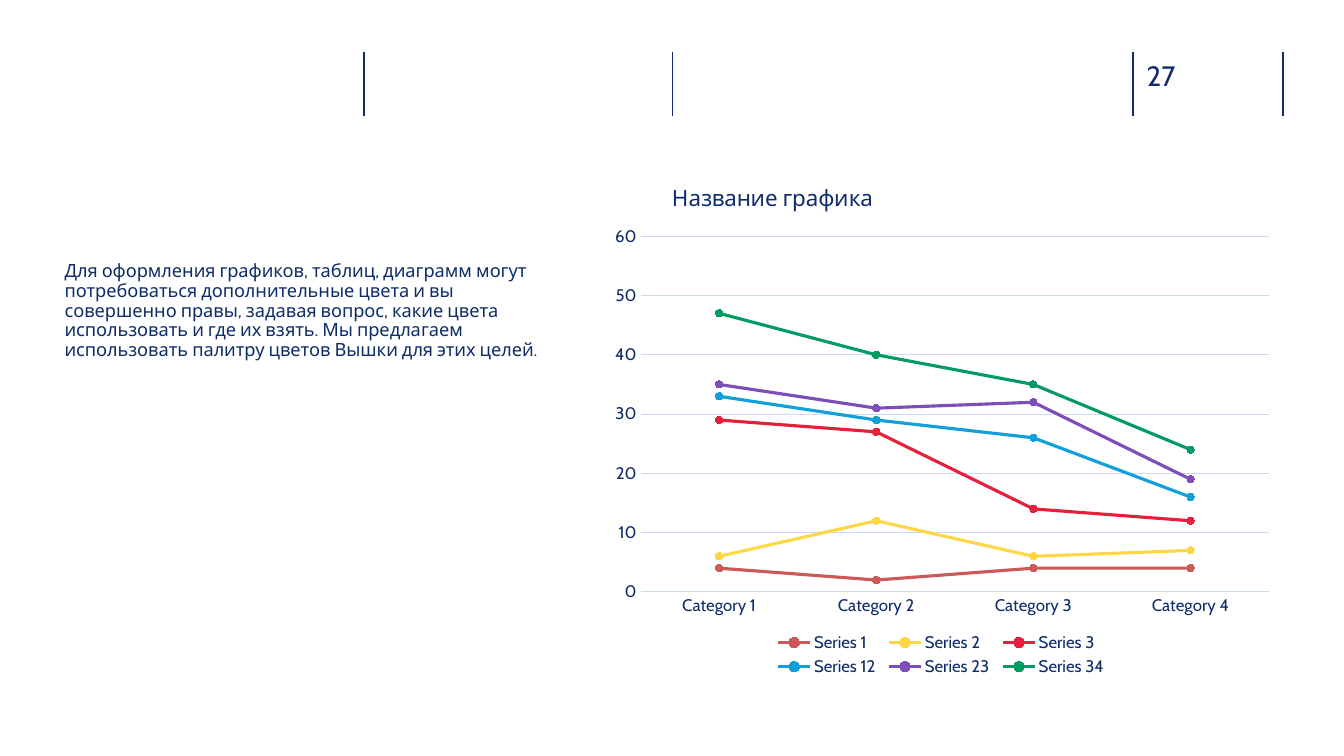
from lxml.etree import SubElement
from pptx import Presentation
from pptx.chart.data import CategoryChartData
from pptx.dml.color import RGBColor
from pptx.enum.chart import (XL_CHART_TYPE as CT, XL_LEGEND_POSITION as LP,
                             XL_MARKER_STYLE as MS, XL_TICK_MARK as TM)
from pptx.enum.shapes import MSO_CONNECTOR
from pptx.oxml.ns import qn
from pptx.util import Cm, Pt

# Content
FONT = "Cabin"
COLORS = {"rule": "102D69", "text": "0E2D69", "grid": "CCDAF8"}
PAGE_NUMBER = "27"
BODY = ("Для оформления графиков, таблиц, диаграмм могут потребоваться "
        "дополнительные цвета и вы совершенно правы, задавая вопрос, какие цвета "
        "использовать и где их взять. Мы предлагаем использовать палитру цветов "
        "Вышки для этих целей.")
CHART_TITLE = "Название графика"
CATEGORIES = ["Category 1", "Category 2", "Category 3", "Category 4"]
SERIES = [  # name, values, line colour, marker colour
    ("Series 1", (4, 2, 4, 4), "CD5A5A", "CD5A5A"),
    ("Series 2", (2, 10, 2, 3), "FFD746", "FFD746"),
    ("Series 3", (23, 15, 8, 5), "E61F3D", "E61F3D"),
    ("Series 12", (4, 2, 12, 4), "11A0D7", "11A0D7"),
    ("Series 23", (2, 2, 6, 3), "7D4EBA", "96628C"),
    ("Series 34", (12, 9, 3, 5), "029C63", "029C63"),
]

# Positions in centimetres
RULES_X = (9.17, 16.94, 28.55, 32.33)
RULE_TOP, RULE_BOTTOM = 1.3, 2.92
NUMBER_BOX = (28.9, 1.47, 1.85, 0.86)
BODY_BOX = (1.63, 6.6, 12.01, 6.65)
CHART_BOX = (15.11, 4.11, 17.22, 13.18)


def rgb(value):
    return RGBColor.from_string(value)


def style(font, size, color):
    font.name = FONT
    font.size = Pt(size)
    font.bold = False
    font.color.rgb = rgb(color)


def add_text(s, box, text, size, color, spacing=None):
    tf = s.shapes.add_textbox(*map(Cm, box)).text_frame
    tf.word_wrap = True
    tf.margin_left = tf.margin_top = tf.margin_right = tf.margin_bottom = 0
    p = tf.paragraphs[0]
    p.line_spacing = spacing
    r = p.add_run()
    r.text = text
    style(r.font, size, color)


def place(part, index, inner=False, **fractions):
    """Set a chart part's position as fractions of the chart area."""
    for old in part.findall(qn("c:layout")):
        part.remove(old)
    layout = part.makeelement(qn("c:layout"))
    part.insert(index, layout)
    manual = SubElement(layout, qn("c:manualLayout"))
    if inner:
        SubElement(manual, qn("c:layoutTarget")).set("val", "inner")
    for key in "xy":
        SubElement(manual, qn(f"c:{key}Mode")).set("val", "edge")
    for key, value in fractions.items():
        SubElement(manual, qn(f"c:{key}")).set("val", str(value))


def add_line_chart(s):
    data = CategoryChartData()
    data.categories = CATEGORIES
    for name, values, *_ in SERIES:
        data.add_series(name, values)
    chart = s.shapes.add_chart(CT.LINE_MARKERS_STACKED, *map(Cm, CHART_BOX), data).chart
    style(chart.font, 12, COLORS["text"])

    # Series
    for series, (_, _, color, marker_color) in zip(chart.plots[0].series, SERIES):
        series.smooth = False
        series.format.line.width = Pt(2.25)
        series.format.line.color.rgb = rgb(color)
        marker = series.marker
        marker.style, marker.size = MS.CIRCLE, 5
        marker.format.fill.solid()
        marker.format.fill.fore_color.rgb = rgb(marker_color)
        marker.format.line.color.rgb = rgb(marker_color)
    chart.plots[0].vary_by_categories = False

    # Axes
    cat, val = chart.category_axis, chart.value_axis
    for axis in (cat, val):
        axis.major_tick_mark = axis.minor_tick_mark = TM.NONE
        style(axis.tick_labels.font, 12, COLORS["text"])
    val.minimum_scale, val.maximum_scale, val.major_unit = 0, 60, 10
    val.has_major_gridlines = True
    val.format.line.fill.background()
    for line in (cat.format.line, val.major_gridlines.format.line):
        line.width = Pt(0.75)
        line.color.rgb = rgb(COLORS["grid"])

    # Title and legend
    chart.has_title = True
    title = chart.chart_title
    r = title.text_frame.paragraphs[0].add_run()
    r.text = CHART_TITLE
    style(r.font, 16, COLORS["text"])
    title.include_text_in_layout = False
    chart.has_legend = True
    legend = chart.legend
    legend.position = LP.BOTTOM
    legend.include_in_layout = False
    style(legend.font, 12, COLORS["text"])

    # Layout inside the chart
    place(title._element, 1, x=0.1, y=0.03)
    place(legend._element, 1, x=0.25, y=0.89, w=0.5, h=0.1)
    place(chart._chartSpace.chart.plotArea, 0, inner=True, x=0.06, y=0.14, w=0.92, h=0.68)


def main():
    prs = Presentation()
    prs.slide_width, prs.slide_height = Cm(33.87), Cm(19.05)
    s = prs.slides.add_slide(prs.slide_layouts[6])

    # Header rules and page number
    for x in RULES_X:
        rule = s.shapes.add_connector(MSO_CONNECTOR.STRAIGHT, Cm(x), Cm(RULE_TOP),
                                      Cm(x), Cm(RULE_BOTTOM))
        rule.line.width = Pt(1)
        rule.line.color.rgb = rgb(COLORS["rule"])
        SubElement(rule._element.spPr, qn("a:effectLst"))
    add_text(s, NUMBER_BOX, PAGE_NUMBER, 20, COLORS["rule"])

    # Body text and chart
    add_text(s, BODY_BOX, BODY, 13, COLORS["text"], spacing=0.9)
    add_line_chart(s)
    prs.save("out.pptx")


if __name__ == "__main__":
    main()
